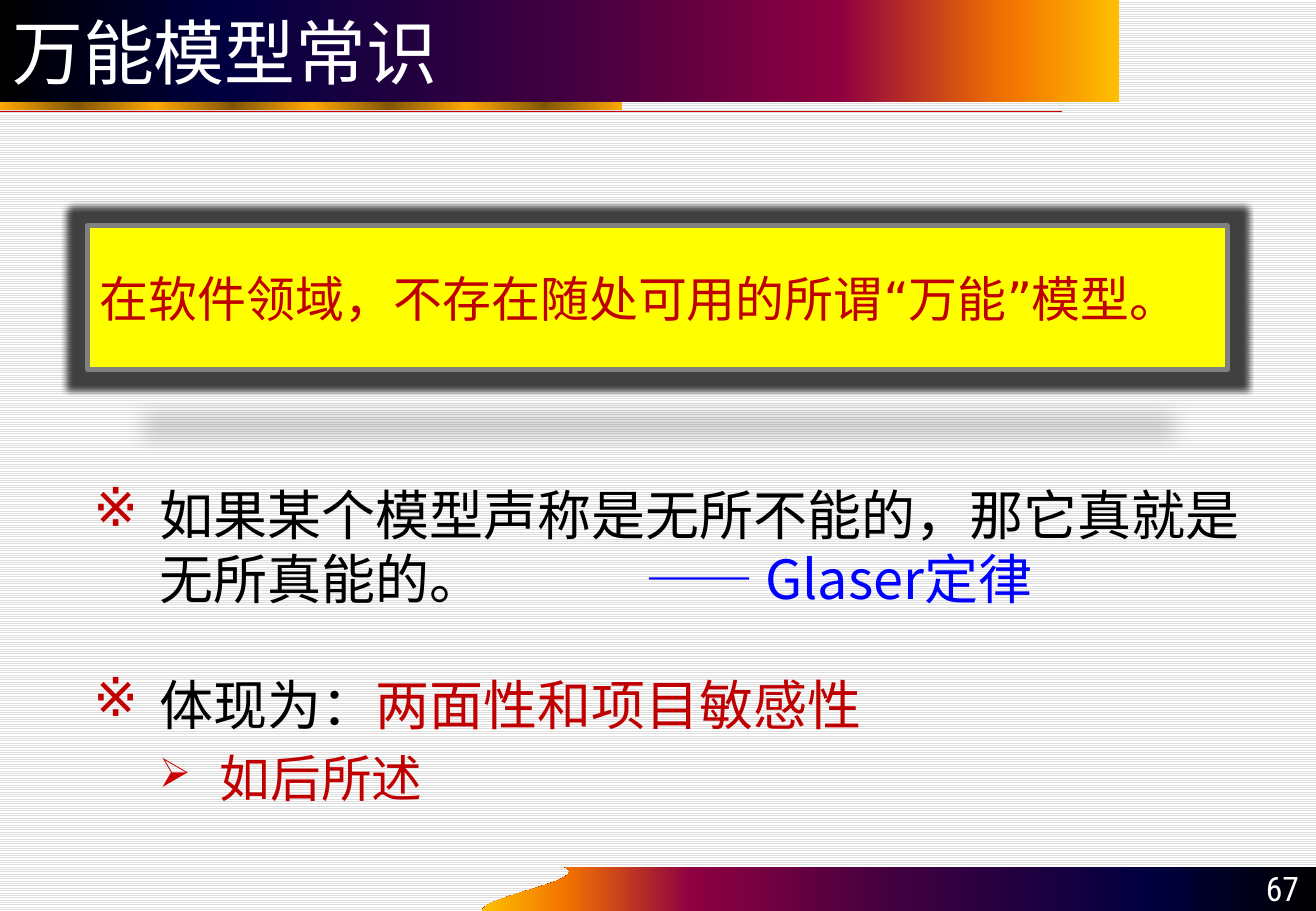
import pptx
import pptx.dml.color
import pptx.enum.dml
import pptx.enum.shapes
import pptx.enum.text
import pptx.oxml
import pptx.oxml.ns
import pptx.util
from pptx.util import Inches

NS = pptx.oxml.ns.nsdecls("a")
ANCHOR = pptx.enum.text.MSO_ANCHOR
NIGHT_TO_GOLD = [(0, "000000"), (20, "000040"), (50, "400040"),
                 (75, "8F0040"), (90, "F27300"), (100, "FFBF00")]
BRONZE_BANDS = [(12.5 * i, ["FFA800", "825600"][i % 2]) for i in range(9)]


def rgb(value):
    return pptx.dml.color.RGBColor.from_string(value)


def add_run(paragraph, text, size, color, face):
    """Add a run whose Latin and East Asian typefaces are the same."""
    run = paragraph.add_run()
    run.text = text
    for name, value in {"size": pptx.util.Pt(size), "name": face}.items():
        setattr(run.font, name, value)
    run.font.color.rgb = rgb(color)
    run.font._element.find(pptx.oxml.ns.qn("a:latin")).addnext(
        pptx.oxml.parse_xml(f'<a:ea {NS} typeface="{face}"/>'))


prs = pptx.Presentation()
prs.slide_width, prs.slide_height = Inches(10.83), Inches(7.5)
slide = prs.slides.add_slide(prs.slide_layouts[5])
shapes = slide.shapes

paper = slide.background.fill
paper.patterned()
paper.pattern = pptx.enum.dml.MSO_PATTERN.LIGHT_HORIZONTAL
paper.fore_color.rgb = rgb("DDDDDD")
paper.back_color.rgb = rgb("FFFFFF")

# Banner, bronze strip and footer wave
title = shapes.title
for name, value in {"left": 0, "top": 0, "width": 9.21, "height": 0.84}.items():
    setattr(title, name, Inches(value))
strip = shapes.add_shape(pptx.enum.shapes.MSO_SHAPE.RECTANGLE,
                         0, Inches(0.84), Inches(5.12), Inches(0.07))

wave_curve = [(3.97, 7.5), (3.97, 7.38), (4.87, 7.25), (4.65, 7.14)]
wave_points = []
for step in range(1, 25):
    t = step / 24
    weights = [(1 - t) ** 3, 3 * t * (1 - t) ** 2, 3 * t ** 2 * (1 - t), t ** 3]
    wave_points.append([Inches(sum(w * p[axis] for w, p in zip(weights, wave_curve)))
                        for axis in (0, 1)])
wave_points += [(Inches(10.83), Inches(7.14)), (Inches(10.83), Inches(7.5))]
outline = shapes.build_freeform(Inches(3.97), Inches(7.5))
outline.add_line_segments(wave_points)
wave = outline.convert_to_shape()

for band, stops, angle in [(title, NIGHT_TO_GOLD, 0), (strip, BRONZE_BANDS, 0),
                           (wave, NIGHT_TO_GOLD, 180)]:
    band.fill.gradient()
    band.fill.gradient_angle = angle
    band.line.fill.background()
    band.shadow.inherit = False
    stop_list = band._element.spPr.find(".//" + pptx.oxml.ns.qn("a:gsLst"))
    for old_stop in list(stop_list):
        stop_list.remove(old_stop)
    for position, color in stops:
        stop_list.append(pptx.oxml.parse_xml(
            f'<a:gs {NS} pos="{int(position * 1000)}"><a:srgbClr val="{color}"/></a:gs>'))

rule = shapes.add_connector(pptx.enum.shapes.MSO_CONNECTOR.STRAIGHT,
                            0, Inches(0.92), Inches(8.74), Inches(0.92))
rule.line.color.rgb = rgb("CC0000")
rule.line.width = pptx.util.Pt(0.75)
rule._element.spPr.append(pptx.oxml.parse_xml(f"<a:effectLst {NS}/>"))

# Framed statement
statement = shapes.add_shape(pptx.enum.shapes.MSO_SHAPE.RECTANGLE,
                             Inches(0.72), Inches(1.86), Inches(9.38), Inches(1.18))
statement.fill.solid()
statement.fill.fore_color.rgb = rgb("FFFF00")
statement.line.color.rgb = rgb("808080")
statement.line.width = pptx.util.Pt(3)
statement._element.spPr.append(pptx.oxml.parse_xml(
    f'<a:effectLst {NS}><a:glow rad="88900"><a:srgbClr val="404040"/></a:glow>'
    '<a:outerShdw blurRad="152400" dist="317500" dir="5400000" sx="90000" sy="-19000"'
    ' rotWithShape="0"><a:srgbClr val="000000"><a:alpha val="15000"/></a:srgbClr>'
    "</a:outerShdw></a:effectLst>"))

page_number = shapes.add_textbox(Inches(9.83), Inches(7.13), Inches(0.96), Inches(0.4))

LEFT, RIGHT = pptx.enum.text.PP_ALIGN.LEFT, pptx.enum.text.PP_ALIGN.RIGHT
for box, text, size, color, face, align, anchor in [
    (title, "万能模型常识", 42, "FFFFFF", "DejaVu Sans", LEFT, ANCHOR.MIDDLE),
    (statement, "在软件领域，不存在随处可用的所谓“万能”模型。", 29, "C00000",
     "DejaVu Sans", LEFT, ANCHOR.MIDDLE),
    (page_number, "67", 20, "FFFFFF", "Roboto Condensed", RIGHT, ANCHOR.BOTTOM),
]:
    box.text_frame.word_wrap = True
    box.text_frame.vertical_anchor = anchor
    box.text_frame.paragraphs[0].alignment = align
    add_run(box.text_frame.paragraphs[0], text, size, color, face)
statement.text_frame.paragraphs[0].line_spacing = pptx.util.Pt(35.5)

# Bulleted argument: indent, hang, bullet, its colour and size, spacing, runs
argument = shapes.add_textbox(Inches(0.67), Inches(3.91), Inches(9.69), Inches(2.91))
argument.text_frame.word_wrap = True
points = [
    (0.54, 0.54, "※", "C00000", 100, 0, 38.5, 32,
     [("如果某个模型声称是无所不能的，那它真就是无所真能的。\t", "000000"),
      ("—— Glaser定律", "0000FF")]),
    (0.54, 0.54, "※", "C00000", 100, 36, 38.5, 32,
     [("体现为：", "000000"), ("两面性和项目敏感性", "C00000")]),
    (1.04, 0.5, "➢", "CC0000", 80, 6.5, 36, 30, [("如后所述", "C00000")]),
]
for index, (indent, hang, bullet, bullet_color, bullet_size,
            before, spacing, size, runs) in enumerate(points):
    frame = argument.text_frame
    paragraph = frame.add_paragraph() if index else frame.paragraphs[0]
    properties = paragraph._p.get_or_add_pPr()
    properties.set("marL", str(Inches(indent)))
    properties.set("indent", str(-Inches(hang)))
    for element in [f'<a:buClr {NS}><a:srgbClr val="{bullet_color}"/></a:buClr>',
                    f'<a:buSzPct {NS} val="{bullet_size * 1000}"/>',
                    f'<a:buChar {NS} char="{bullet}"/>',
                    f'<a:tabLst {NS}><a:tab pos="{Inches(4.54)}" algn="l"/></a:tabLst>']:
        properties.append(pptx.oxml.parse_xml(element))
    paragraph.space_before = pptx.util.Pt(before)
    paragraph.line_spacing = pptx.util.Pt(spacing)
    for text, color in runs:
        add_run(paragraph, text, size, color, "Noto Sans CJK SC")

prs.save("out.pptx")
